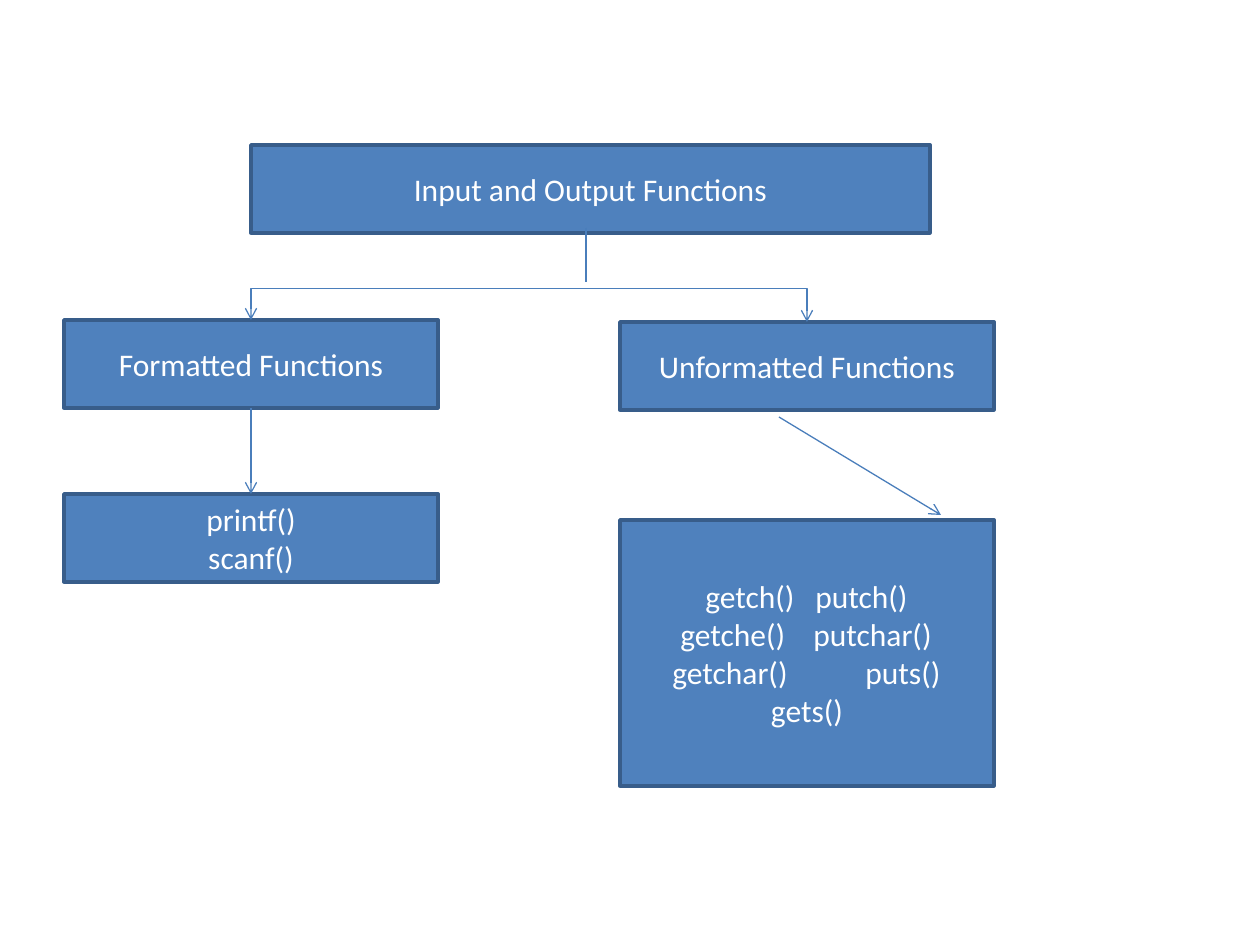
from pptx import Presentation
from pptx.dml.color import RGBColor
from pptx.enum.shapes import MSO_CONNECTOR as Link, MSO_SHAPE as Shape
from pptx.enum.text import MSO_ANCHOR as Anchor, PP_ALIGN as Align
from pptx.oxml.ns import qn
from pptx.util import Pt
from lxml.etree import SubElement

EMU_PER_PX = 914400 / 126
BLUE = RGBColor(0x4F, 0x81, 0xBD)
NAVY = RGBColor(0x38, 0x5D, 0x8A)
LINK_BLUE = RGBColor(0x4A, 0x7E, 0xBB)
WHITE = RGBColor(0xFF, 0xFF, 0xFF)
BOX_WIDTH, BOX_HEIGHT = 374, 88
CHARACTER_ROWS = [
    (["getch()", "putch()"], [73, 183]),
    (["getche()", "putchar()"], [48, 181]),
    (["getchar()", "puts()"], [40, 233]),
    (["gets()"], []),
]


def px(length):
    """Turn pixels into EMU."""
    return round(length * EMU_PER_PX)


def add_row(paragraph, words, stops):
    """Write one row, centred or with each word at its tab stop."""
    paragraph.alignment = Align.LEFT if stops else Align.CENTER
    if stops:
        tab_list = SubElement(paragraph._p.get_or_add_pPr(), qn("a:tabLst"))
        for stop in stops:
            SubElement(tab_list, qn("a:tab"), pos=str(px(stop)), algn="l")
    for word in words:
        run = paragraph.add_run()
        run.text = "\t" + word if stops else word
        run.font.name = "Calibri"
        run.font.size = Pt(18)
        run.font.color.rgb = WHITE


def add_box(slide, left, top, width, height, rows):
    """Draw a blue rectangle holding rows of words."""
    box = slide.shapes.add_shape(Shape.RECTANGLE, px(left), px(top), px(width), px(height))
    box.shadow.inherit = False
    box.fill.solid()
    box.fill.fore_color.rgb = BLUE
    box.line.color.rgb = NAVY
    box.line.width = Pt(2)
    frame = box.text_frame
    frame.word_wrap = True
    frame.vertical_anchor = Anchor.MIDDLE
    for index, (words, stops) in enumerate(rows):
        paragraph = frame.add_paragraph() if index else frame.paragraphs[0]
        add_row(paragraph, words, stops)
    return box


def add_link(slide, start, end, arrows=(), kind=Link.STRAIGHT):
    """Draw a thin connector with the given arrow ends."""
    link = slide.shapes.add_connector(kind, *map(px, (*start, *end)))
    link.line.color.rgb = LINK_BLUE
    link.line.width = Pt(0.75)
    for arrow in arrows:
        SubElement(link.line._get_or_add_ln(), qn(f"a:{arrow}"), type="arrow")
    SubElement(link._element.spPr, qn("a:effectLst"))
    return link


def add_fork(slide, start, end, rise):
    """Draw the bent connector that rises above both branch boxes."""
    (x1, y1), (x2, y2) = start, end
    span, drop = x2 - x1, y2 - y1
    fork = add_link(slide, start, end, ("headEnd", "tailEnd"), Link.ELBOW)
    fork.left, fork.top = px((x1 + x2 - drop) / 2), px((y1 + y2 - span) / 2)
    fork.width, fork.height = px(drop), px(span)
    properties = fork._element.spPr
    frame = properties.find(qn("a:xfrm"))
    frame.set("rot", str(270 * 60000))
    frame.set("flipH", "1")
    guides = properties.find(qn("a:prstGeom")).find(qn("a:avLst"))
    SubElement(guides, qn("a:gd"), name="adj1", fmla=f"val {-rise * 100000 // drop}")


def add_heading(slide, left, top, width, height):
    """Draw the root box and its stem."""
    add_box(slide, left, top, width, height, [(["Input and Output Functions"], [])])
    add_link(slide, (left + 335, top + 83), (left + 335, top + 137))


def add_formatted(slide, left, top):
    """Draw the formatted branch and its functions."""
    lower = top + 174
    middle = left + BOX_WIDTH / 2
    title = add_box(slide, left, top, BOX_WIDTH, BOX_HEIGHT, [(["Formatted Functions"], [])])
    functions = add_box(slide, left, lower, BOX_WIDTH, BOX_HEIGHT,
                        [(["printf()"], []), (["scanf()"], [])])
    arrow = add_link(slide, (middle, top + BOX_HEIGHT), (middle, lower), ("tailEnd",))
    arrow.begin_connect(title, 2)
    arrow.end_connect(functions, 0)


def add_unformatted(slide, left, top):
    """Draw the unformatted branch and its functions."""
    add_box(slide, left, top, BOX_WIDTH, BOX_HEIGHT, [(["Unformatted Functions"], [])])
    add_box(slide, left, top + 198, BOX_WIDTH, 266, CHARACTER_ROWS)
    add_link(slide, (left + 159, top + 95), (left + 321, top + 193), ("tailEnd",))


def main():
    """Build the function tree slide."""
    deck = Presentation()
    deck.slide_width, deck.slide_height = px(1260), px(945)
    slide = deck.slides.add_slide(deck.slide_layouts[6])
    add_heading(slide, 251, 145, 679, BOX_HEIGHT)
    add_formatted(slide, 64, 320)
    add_unformatted(slide, 620, 322)
    add_fork(slide, (251, 320), (807, 322), 32)
    deck.save("out.pptx")


if __name__ == "__main__":
    main()
